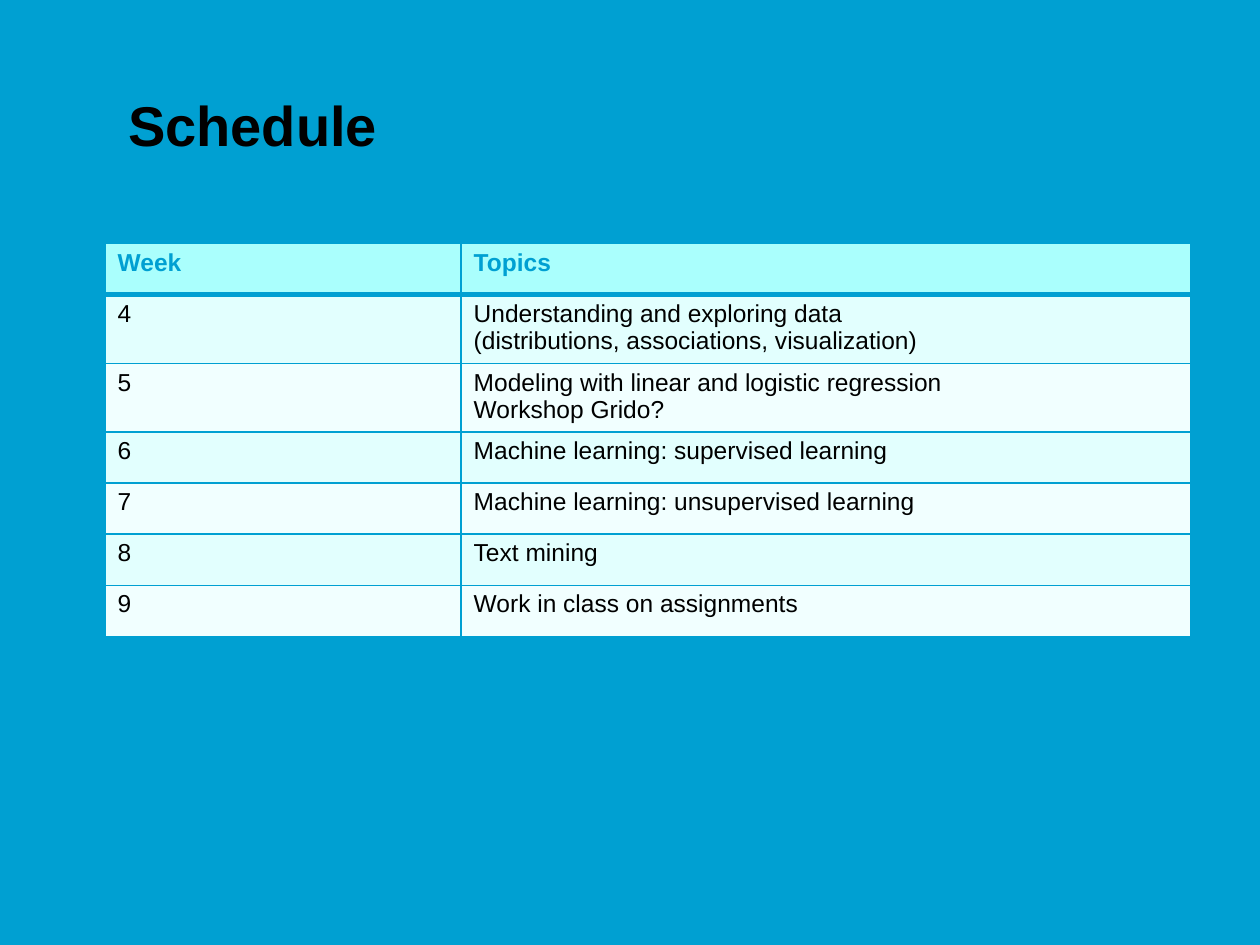
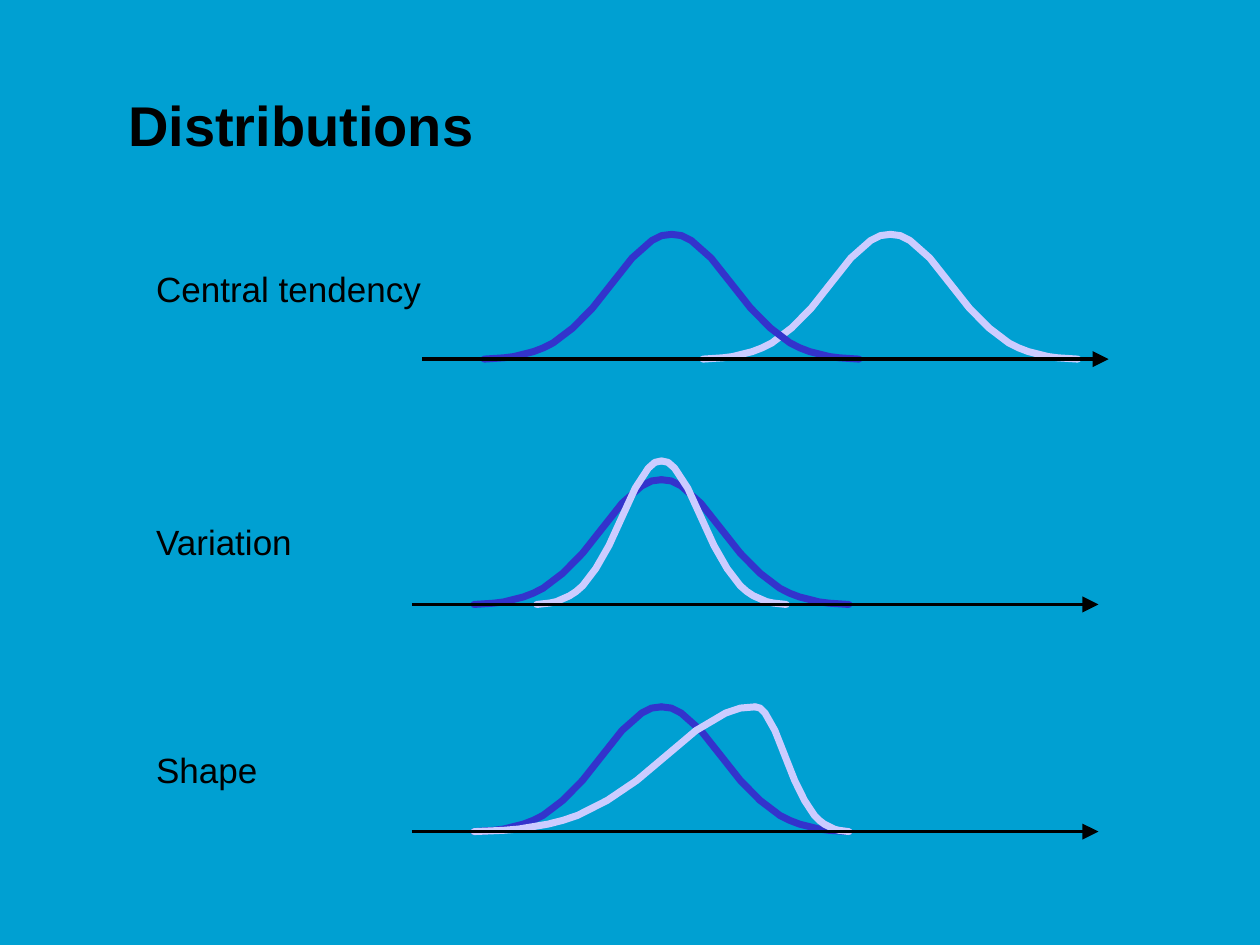
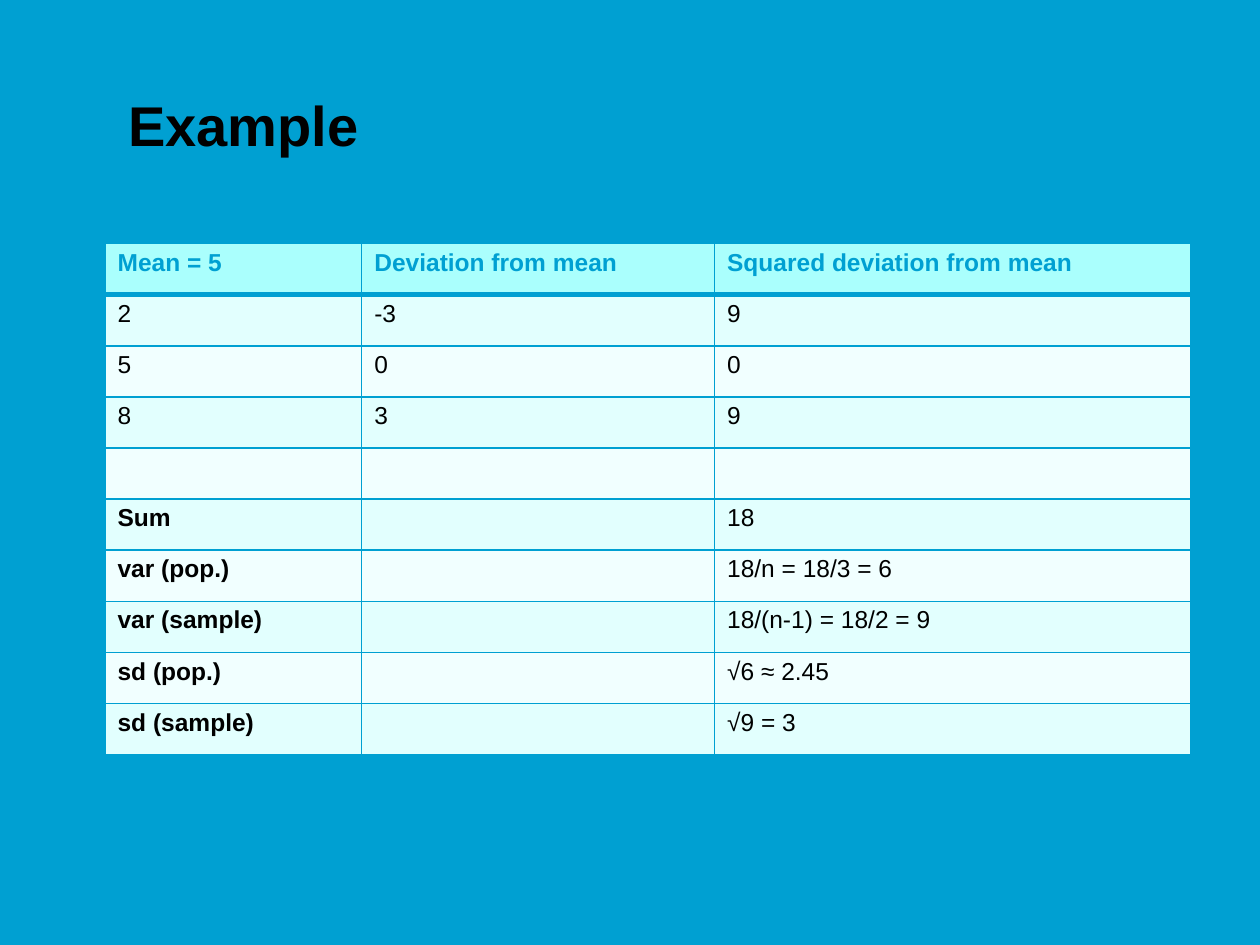
"""Build three statistics lecture slides: a schedule, distribution curves and a worked example."""
from dataclasses import dataclass
from typing import Any

from lxml.etree import SubElement
from pptx import Presentation
from pptx.dml.color import RGBColor
from pptx.enum.shapes import MSO_CONNECTOR
from pptx.enum.text import MSO_ANCHOR, MSO_AUTO_SIZE
from pptx.oxml.ns import qn
from pptx.util import Pt

COLOURS = {
    "background": "00A0D2",
    "ink": "000000",
    "header": "AAFFFD",
    "band_dark": "E2FFFE",
    "band_light": "F1FFFF",
    "curve_dark": "3333CC",
    "curve_light": "CCCCFF",
}
TITLE_FONT = {"name": "Arial", "size": Pt(32), "bold": True}
LABEL_FONT = {"name": "Arial", "size": Pt(20), "bold": False}
CELL_FONT = {"name": "Arial", "size": Pt(14), "bold": False}
STRONG_CELL_FONT = {**CELL_FONT, "bold": True}
TITLE_FRAME = {"vertical_anchor": MSO_ANCHOR.BOTTOM, "word_wrap": True}
LABEL_FRAME = {"auto_size": MSO_AUTO_SIZE.SHAPE_TO_FIT_TEXT, "word_wrap": False}
CELL_MARGINS = {"margin_top": Pt(3.1), "margin_bottom": Pt(2.5)}

TABLE_LEFT, TABLE_TOP, ROW_HEIGHT = 60, 139.2, 29.2
LABEL_LEFT, LABEL_HEIGHT = 82.1, 31.7
AXIS_LENGTH, ARROW_SIZE = 384.5, 9.2
HALF_WIDTH, PEAK_HEIGHT = 107.1, 71.3
FIRST_PEAK = 142.6
BELL_STEPS = (0, 2, 3, 4, 5, 6, 7, 9, 11, 13, 14, 15, 16, 17, 18, 19)
BELL_HEIGHTS = (0, 0.01, 0.02, 0.04, 0.06, 0.09, 0.13, 0.25,
                0.41, 0.61, 0.71, 0.81, 0.88, 0.95, 0.99, 1)


@dataclass(frozen=True)
class TableSpec:
    title: str
    widths: tuple[float, ...]
    rows: tuple[tuple[str, ...], ...]
    strong_labels_from: int


@dataclass(frozen=True)
class Curve:
    colour: str
    peak: float = FIRST_PEAK
    left_width: float = HALF_WIDTH
    right_width: float = HALF_WIDTH
    height: float = PEAK_HEIGHT


@dataclass(frozen=True)
class Distribution:
    label: str
    label_top: float
    label_width: float
    axis_left: float
    baseline: float
    curves: tuple[Curve, ...]


SCHEDULE = TableSpec("Schedule", (203.5, 417), (
    ("Week", "Topics"),
    ("4", "Understanding and exploring data\n(distributions, associations, visualization)"),
    ("5", "Modeling with linear and logistic regression\nWorkshop Grido?"),
    ("6", "Machine learning: supervised learning"),
    ("7", "Machine learning: unsupervised learning"),
    ("8", "Text mining"),
    ("9", "Work in class on assignments"),
), strong_labels_from=7)

EXAMPLE = TableSpec("Example", (146.7, 201.6, 272.2), (
    ("Mean = 5", "Deviation from mean", "Squared deviation from mean"),
    ("2", "-3", "9"),
    ("5", "0", "0"),
    ("8", "3", "9"),
    ("", "", ""),
    ("Sum", "", "18"),
    ("var (pop.)", "", "18/n = 18/3 = 6"),
    ("var (sample)", "", "18/(n-1) = 18/2 = 9"),
    ("sd (pop.)", "", "√6 ≈ 2.45"),
    ("sd (sample)", "", "√9 = 3"),
), strong_labels_from=5)

DARK_BELL = Curve("curve_dark")
DISTRIBUTIONS = (
    Distribution("Central tendency", 149.3, 167, 241.2, 205.2,
                 (Curve("curve_light", peak=267.6), DARK_BELL)),
    Distribution("Variation", 293.8, 92.9, 235.4, 345.4,
                 (DARK_BELL, Curve("curve_light", left_width=71.3, right_width=71.3, height=82))),
    Distribution("Shape", 424.1, 72.7, 235.4, 475.2,
                 (DARK_BELL, Curve("curve_light", FIRST_PEAK + HALF_WIDTH / 2,
                                   HALF_WIDTH * 1.5, HALF_WIDTH / 2))),
)


def colour(name: str) -> RGBColor:
    return RGBColor.from_string(COLOURS[name])


def set_values(target: Any, values: dict[str, Any]) -> None:
    for name, value in values.items():
        setattr(target, name, value)


def write(frame: Any, text: str, font: dict[str, Any], ink: str = "ink") -> None:
    frame.text = text
    for para in frame.paragraphs:
        for span in para.runs:
            set_values(span.font, font)
            span.font.color.rgb = colour(ink)


def add_text(page: Any, text: str, place: tuple[float, ...],
             font: dict[str, Any], frame_values: dict[str, Any]) -> None:
    box = page.shapes.add_textbox(*map(Pt, place))
    set_values(box.text_frame, frame_values)
    write(box.text_frame, text, font)


def add_page(deck: Any, title: str) -> Any:
    page = deck.slides.add_slide(deck.slide_layouts[6])
    page.background.fill.solid()
    page.background.fill.fore_color.rgb = colour("background")
    add_text(page, title, (66.2, 48.2, 486, 45.4), TITLE_FONT, TITLE_FRAME)
    return page


def add_borders(cell: Any, row: int) -> None:
    properties = cell._tc.get_or_add_tcPr()
    widths = {"L": 1, "R": 1, "T": 3 if row == 1 else 1, "B": 3 if row == 0 else 1}
    for side, width in widths.items():
        border = SubElement(properties, qn(f"a:ln{side}"), w=str(Pt(width)))
        fill = SubElement(border, qn("a:solidFill"))
        SubElement(fill, qn("a:srgbClr"), val=COLOURS["background"])


def add_table_page(deck: Any, spec: TableSpec) -> None:
    page = add_page(deck, spec.title)
    row_count = len(spec.rows)
    table = page.shapes.add_table(
        row_count, len(spec.widths), Pt(TABLE_LEFT), Pt(TABLE_TOP),
        Pt(sum(spec.widths)), Pt(ROW_HEIGHT * row_count)).table
    for column, width in zip(table.columns, spec.widths):
        column.width = Pt(width)
    for row, texts in enumerate(spec.rows):
        table.rows[row].height = Pt(ROW_HEIGHT)
        band = "header" if row == 0 else "band_dark" if row % 2 else "band_light"
        for column, text in enumerate(texts):
            cell = table.cell(row, column)
            strong = row == 0 or (column == 0 and row >= spec.strong_labels_from)
            write(cell.text_frame, text, STRONG_CELL_FONT if strong else CELL_FONT,
                  "ink" if row else "background")
            set_values(cell, CELL_MARGINS)
            add_borders(cell, row)
            cell.fill.solid()
            cell.fill.fore_color.rgb = colour(band)


def add_outline(shapes: Any, points: list[tuple[float, float]], close: bool = False) -> Any:
    start, *others = [(Pt(x), Pt(y)) for x, y in points]
    builder = shapes.build_freeform(*start)
    builder.add_line_segments(others, close=close)
    shape = builder.convert_to_shape()
    shape.shadow.inherit = False
    return shape


def add_half_curve(shapes: Any, curve: Curve, peak: float, baseline: float, width: float) -> None:
    """Draw one side of a bell from foot to peak; a negative width puts the foot on the left."""
    points = [(peak + width * (1 - step / BELL_STEPS[-1]), baseline - curve.height * height)
              for step, height in zip(BELL_STEPS, BELL_HEIGHTS)]
    shape = add_outline(shapes, points)
    shape.fill.background()
    shape.line.color.rgb = colour(curve.colour)
    shape.line.width = Pt(4)
    line = shape.element.spPr.find(qn("a:ln"))
    line.set("cap", "rnd")
    SubElement(line, qn("a:round"))


def add_axis(shapes: Any, left: float, baseline: float) -> None:
    right = left + AXIS_LENGTH
    axis = shapes.add_connector(MSO_CONNECTOR.STRAIGHT,
                                Pt(left), Pt(baseline), Pt(right), Pt(baseline))
    axis.line.color.rgb = colour("ink")
    axis.line.width = Pt(2)
    SubElement(axis.element.spPr, qn("a:effectLst"))
    base, half = right - 1.4, ARROW_SIZE / 2
    arrow = add_outline(shapes, [(base, baseline - half), (base + ARROW_SIZE, baseline),
                                 (base, baseline + half)], close=True)
    arrow.fill.solid()
    arrow.fill.fore_color.rgb = colour("ink")
    arrow.line.fill.background()


def add_distributions_page(deck: Any) -> None:
    page = add_page(deck, "Distributions")
    for item in DISTRIBUTIONS:
        shapes = page.shapes.add_group_shape().shapes
        for curve in item.curves:
            for width in (curve.right_width, -curve.left_width):
                add_half_curve(shapes, curve, item.axis_left + curve.peak, item.baseline, width)
        add_axis(shapes, item.axis_left, item.baseline)
    for item in DISTRIBUTIONS:
        add_text(page, item.label, (LABEL_LEFT, item.label_top, item.label_width, LABEL_HEIGHT),
                 LABEL_FONT, LABEL_FRAME)


def main() -> None:
    deck = Presentation()
    set_values(deck, {"slide_width": Pt(720), "slide_height": Pt(540)})
    add_table_page(deck, SCHEDULE)
    add_distributions_page(deck)
    add_table_page(deck, EXAMPLE)
    deck.save("out.pptx")


if __name__ == "__main__":
    main()
